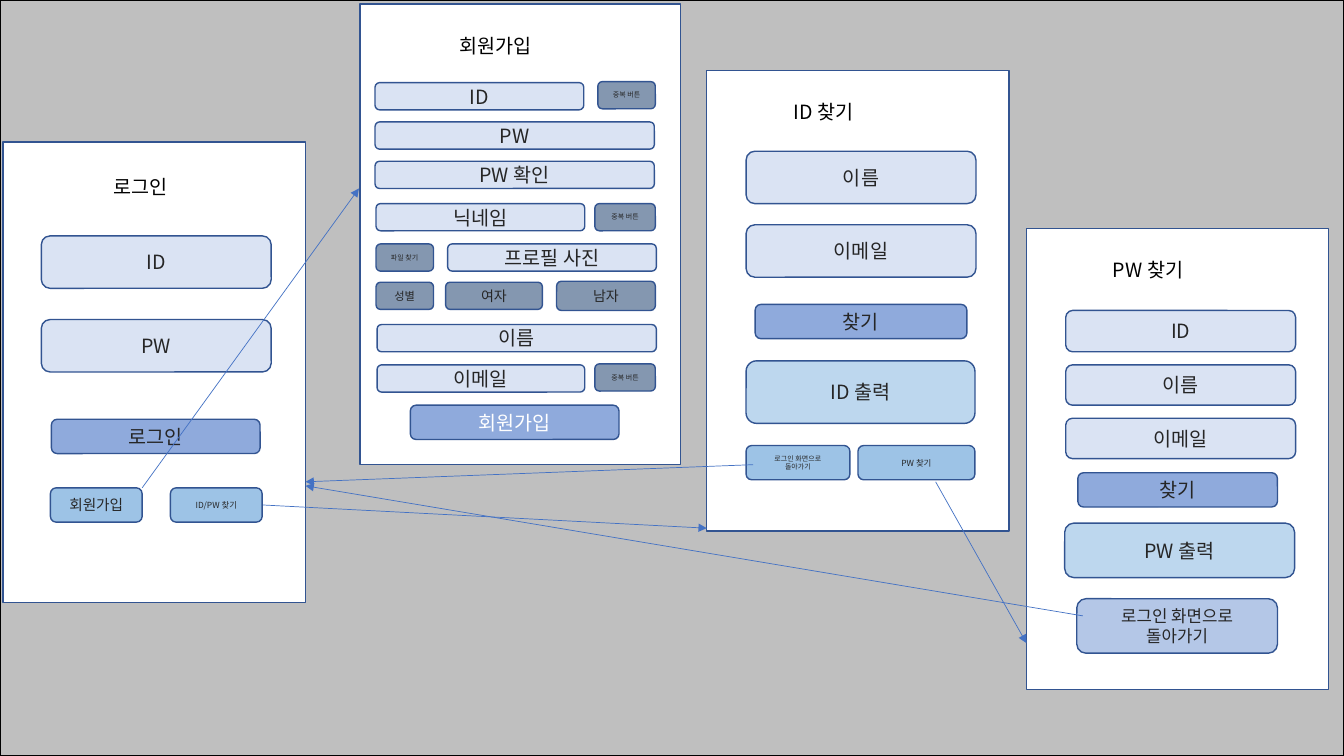
from lxml import etree
from pptx import Presentation
from pptx.dml.color import RGBColor
from pptx.enum.shapes import MSO_CONNECTOR, MSO_SHAPE
from pptx.enum.text import MSO_ANCHOR, MSO_AUTO_SIZE, PP_ALIGN
from pptx.oxml.ns import qn
from pptx.util import Pt

PX = 9144
WIDTH, HEIGHT = 1333, 750
FONT = "Noto Sans CJK KR"

RECTANGLE = MSO_SHAPE.RECTANGLE
ROUNDED = MSO_SHAPE.ROUNDED_RECTANGLE
STRAIGHT = MSO_CONNECTOR.STRAIGHT
MIDDLE = MSO_ANCHOR.MIDDLE
GROW = MSO_AUTO_SIZE.SHAPE_TO_FIT_TEXT
LEFT, CENTER = PP_ALIGN.LEFT, PP_ALIGN.CENTER

BLACK = RGBColor(0x00, 0x00, 0x00)
WHITE = RGBColor(0xFF, 0xFF, 0xFF)
INK = RGBColor(0x26, 0x26, 0x26)
BACKDROP = RGBColor(0xBF, 0xBF, 0xBF)
OUTLINE = RGBColor(0x32, 0x54, 0x91)
ARROW = RGBColor(0x44, 0x72, 0xC4)
FIELD = RGBColor(0xDA, 0xE3, 0xF3)
ACTION = RGBColor(0x8F, 0xAA, 0xDC)
LINK = RGBColor(0x9D, 0xC3, 0xE6)
RESULT = RGBColor(0xBD, 0xD7, 0xEE)
RETURN = RGBColor(0xB4, 0xC7, 0xE7)
OPTION = RGBColor(0x84, 0x97, 0xB0)


def emu(*lengths):
    """Turn px lengths into EMU."""
    return [length * PX for length in lengths]


def write(frame, text, size, color, alignment):
    """Fill a text frame with one paragraph per line of text."""
    frame.word_wrap = True
    frame.text = text
    for paragraph in frame.paragraphs:
        paragraph.alignment = alignment
        font = paragraph.font
        font.size = Pt(size)
        font.color.rgb = color
        font.name = FONT
        properties = paragraph._p.pPr.find(qn("a:defRPr"))
        etree.SubElement(properties, qn("a:ea"), typeface=FONT)


def add_box(slide, preset, box, fill, line=OUTLINE, line_width=1):
    """Draw a filled, outlined shape in the given box."""
    shape = slide.shapes.add_shape(preset, *emu(*box))
    shape.shadow.inherit = False
    shape.fill.solid()
    shape.fill.fore_color.rgb = fill
    shape.line.color.rgb = line
    shape.line.width = Pt(line_width)
    return shape


def add_screen(slide, box, title, title_offset, controls):
    """Draw a screen with its title and controls placed relative to its box."""
    left, top, _, _ = box
    add_box(slide, RECTANGLE, box, WHITE)
    across, down = title_offset
    heading = slide.shapes.add_textbox(*emu(left + across, top + down, 207, 34))
    write(heading.text_frame, title, 14, BLACK, LEFT)
    heading.text_frame.auto_size = GROW
    for text, (across, down, width, height), fill, size, color in controls:
        control = add_box(slide, ROUNDED, (left + across, top + down, width, height), fill)
        control.text_frame.vertical_anchor = MIDDLE
        write(control.text_frame, text, size, color, CENTER)


def login_screen(slide, box):
    """Draw the login screen."""
    add_screen(slide, box, "로그인", (100, 28), [
        ("ID", (38, 93, 228, 52), FIELD, 14, INK),
        ("PW", (38, 176, 228, 52), FIELD, 14, INK),
        ("로그인", (48, 275, 207, 34), ACTION, 14, INK),
        ("회원가입", (47, 343, 91, 34), LINK, 10.5, INK),
        ("ID/PW 찾기", (166, 343, 91, 34), LINK, 6, INK),
    ])


def signup_screen(slide, box):
    """Draw the sign-up screen."""
    fields = [("ID", 15, 78, 207), ("PW", 15, 117, 277), ("PW 확인", 15, 156, 277),
              ("닉네임", 16, 198, 207), ("프로필 사진", 87, 238, 207),
              ("이름", 17, 318, 277), ("이메일", 17, 358, 206)]
    options = [("중복 버튼", (236, 77, 57, 27), 5), ("중복 버튼", (233, 198, 60, 27), 5),
               ("중복 버튼", (233, 357, 60, 27), 5), ("파일 찾기", (16, 238, 57, 27), 5),
               ("성별", (16, 276, 57, 27), 8), ("여자", (85, 276, 96, 27), 10),
               ("남자", (195, 275, 98, 29), 10)]
    controls = [(text, (across, down, width, 27), FIELD, 14, INK)
                for text, across, down, width in fields]
    controls += [(text, place, OPTION, size, INK) for text, place, size in options]
    controls.append(("회원가입", (50, 398, 207, 34), ACTION, 14, WHITE))
    add_screen(slide, box, "회원가입", (89, 25), controls)


def find_id_screen(slide, box):
    """Draw the ID search screen."""
    add_screen(slide, box, "ID 찾기", (76, 24), [
        ("이름", (39, 80, 228, 52), FIELD, 14, INK),
        ("이메일", (39, 153, 228, 52), FIELD, 14, INK),
        ("찾기", (48, 232, 210, 34), ACTION, 14, INK),
        ("ID 출력", (39, 288, 227, 62), RESULT, 14, INK),
        ("로그인 화면으로\n돌아가기", (39, 372, 103, 34), LINK, 5, INK),
        ("PW 찾기", (150, 372, 116, 34), LINK, 6, INK),
    ])


def find_pw_screen(slide, box):
    """Draw the password search screen."""
    add_screen(slide, box, "PW 찾기", (76, 24), [
        ("ID", (39, 81, 228, 41), FIELD, 14, INK),
        ("이름", (39, 135, 228, 40), FIELD, 14, INK),
        ("이메일", (39, 188, 228, 40), FIELD, 14, INK),
        ("찾기", (51, 242, 198, 34), ACTION, 14, INK),
        ("PW 출력", (38, 292, 228, 54), RESULT, 14, INK),
        ("로그인 화면으로\n돌아가기", (50, 367, 199, 54), RETURN, 12, INK),
    ])


def add_arrow(slide, start, end):
    """Draw a thin arrow from start to end."""
    arrow = slide.shapes.add_connector(STRAIGHT, *emu(*start, *end))
    arrow.line.color.rgb = ARROW
    arrow.line.width = Pt(0.5)
    etree.SubElement(arrow.line._get_or_add_ln(), qn("a:tailEnd"), type="triangle")
    etree.SubElement(arrow._element.spPr, qn("a:effectLst"))


def main():
    """Build the screen flow slide."""
    presentation = Presentation()
    presentation.slide_width, presentation.slide_height = emu(WIDTH, HEIGHT)
    slide = presentation.slides.add_slide(presentation.slide_layouts[6])
    add_box(slide, RECTANGLE, (0, 0, WIDTH, HEIGHT), BACKDROP, BLACK, 2)
    login_screen(slide, (3, 141, 300, 457))
    signup_screen(slide, (357, 4, 318, 457))
    find_id_screen(slide, (701, 70, 300, 457))
    find_pw_screen(slide, (1018, 227, 300, 457))
    for start, end in [((141, 484), (356, 187)), ((261, 501), (701, 524)),
                       ((928, 478), (1018, 638)), ((747, 461), (303, 478)),
                       ((1074, 611), (303, 482))]:
        add_arrow(slide, start, end)
    presentation.save("out.pptx")


if __name__ == "__main__":
    main()
